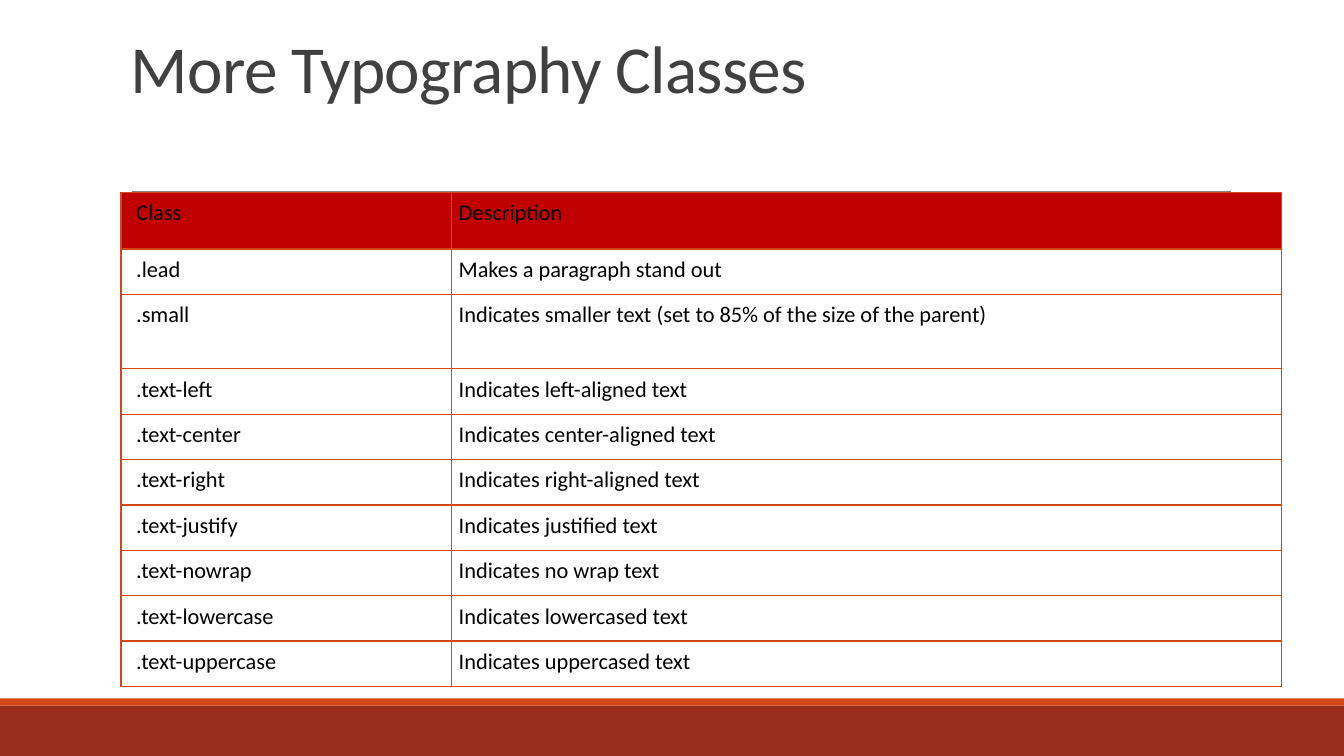
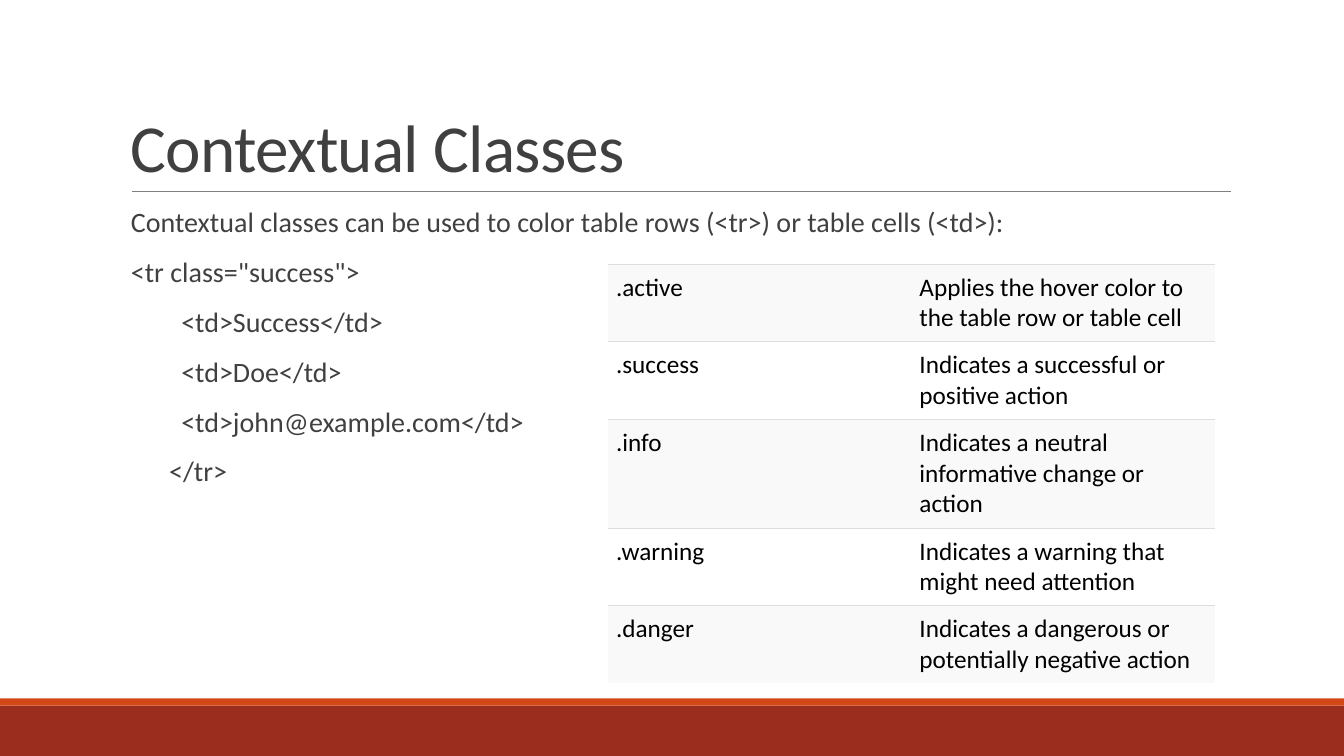
from dataclasses import dataclass

from lxml.etree import SubElement
from pptx import Presentation
from pptx.dml.color import RGBColor
from pptx.enum.shapes import MSO_CONNECTOR, MSO_SHAPE
from pptx.enum.text import MSO_ANCHOR
from pptx.oxml.ns import qn
from pptx.util import Inches, Pt


@dataclass(frozen=True)
class Theme:
    font: str = "Calibri"
    text: str = "404040"
    table_text: str = "000000"
    band: str = "9B2D1F"
    accent: str = "D34817"
    rule: str = "808080"
    header: str = "C00000"
    stripe: str = "F9F9F9"
    white: str = "FFFFFF"
    grid: str = "DDDDDD"
    title_size: int = 48
    body_size: int = 20
    large_cell_size: int = 18
    small_cell_size: int = 16


THEME = Theme()
SLIDE_W, SLIDE_H = 13.33, 7.5
NO_TABLE_STYLE = "{2D5ABB26-0587-4C30-8999-92F81FD0307C}"

TYPOGRAPHY_ROWS = [
    ("Class", "Description"),
    (".lead", "Makes a paragraph stand out"),
    (".small", "Indicates smaller text (set to 85% of the size of the parent)"),
    (".text-left", "Indicates left-aligned text"),
    (".text-center", "Indicates center-aligned text"),
    (".text-right", "Indicates right-aligned text"),
    (".text-justify", "Indicates justified text"),
    (".text-nowrap", "Indicates no wrap text"),
    (".text-lowercase", "Indicates lowercased text"),
    (".text-uppercase", "Indicates uppercased text"),
]
CONTEXT_ROWS = [
    (".active", "Applies the hover color to the table row or table cell"),
    (".success", "Indicates a successful or positive action"),
    (".info", "Indicates a neutral informative change or action"),
    (".warning", "Indicates a warning that might need attention"),
    (".danger", "Indicates a dangerous or potentially negative action"),
]
# Each line of the body with its indent in inches
CONTEXT_BODY = [
    ("Contextual classes can be used to color table rows (<tr>) or table cells (<td>):", 0),
    ('<tr class="success">', 0),
    ("<td>Success</td>", 0.5),
    ("<td>Doe</td>", 0.5),
    ("<td>john@example.com</td>", 0.5),
    ("</tr>", 0.38),
]


def rgb(color):
    return RGBColor.from_string(color)


def add_run(p, text, size, color):
    r = p.add_run()
    r.text = text
    r.font.name = THEME.font
    r.font.size = Pt(size)
    r.font.color.rgb = rgb(color)
    return r


def set_margins(target, left, top, right, bottom):
    target.margin_left, target.margin_top = Inches(left), Inches(top)
    target.margin_right, target.margin_bottom = Inches(right), Inches(bottom)


def add_band(slide, top, height, color):
    sp = slide.shapes.add_shape(MSO_SHAPE.RECTANGLE, 0, Inches(top),
                                Inches(SLIDE_W), Inches(height))
    sp.shadow.inherit = False
    sp.fill.solid()
    sp.fill.fore_color.rgb = rgb(color)
    sp.line.fill.background()


def add_rule(slide, left, right, y):
    line = slide.shapes.add_connector(MSO_CONNECTOR.STRAIGHT, Inches(left), Inches(y),
                                      Inches(right), Inches(y))
    line.line.color.rgb = rgb(THEME.rule)
    line.line.width = Pt(0.5)
    SubElement(line._element.spPr, qn("a:effectLst"))


def add_text_frame(slide, left, top, width, height):
    tf = slide.shapes.add_textbox(Inches(left), Inches(top),
                                  Inches(width), Inches(height)).text_frame
    tf.word_wrap = True
    return tf


def add_title(slide, text, lift):
    """Set the title on the bottom of its box, raised by lift inches."""
    tf = add_text_frame(slide, 1.2, 0.31, 11, 1.59)
    set_margins(tf, 0.1, 0.05, 0.1, 0.05 + lift)
    tf.vertical_anchor = MSO_ANCHOR.BOTTOM
    p = tf.paragraphs[0]
    p.line_spacing = 0.85
    r = add_run(p, text, THEME.title_size, THEME.text)
    r.font._element.set("spc", "-50")


def add_body(slide, lines):
    tf = add_text_frame(slide, 1.2, 2.02, 11, 4.4)
    set_margins(tf, 0.1, 0.05, 0, 0.05)
    for i, (text, indent) in enumerate(lines):
        p = tf.add_paragraph() if i else tf.paragraphs[0]
        p.line_spacing = 0.9
        p.space_before, p.space_after = Pt(12), Pt(2)
        p._p.get_or_add_pPr().set("marL", str(Inches(indent)))
        add_run(p, text, THEME.body_size, THEME.text)


def set_borders(cell, sides, color, width):
    """Draw the sides named by letters from LRTB, and clear the others."""
    tc_pr = cell._tc.get_or_add_tcPr()
    for side in "LRTB":
        ln = SubElement(tc_pr, qn(f"a:ln{side}"), w=str(Pt(width)))
        if side in sides:
            fill = SubElement(ln, qn("a:solidFill"))
            SubElement(fill, qn("a:srgbClr"), val=color)
        else:
            SubElement(ln, qn("a:noFill"))


def add_table(slide, left, top, col_widths, row_heights, rows, size, style_cell):
    """Fill a plain table; style_cell(cell, row, col) sets margins, borders and fill."""
    frame = slide.shapes.add_table(len(rows), len(col_widths), Inches(left), Inches(top),
                                   Inches(sum(col_widths)), Inches(sum(row_heights)))
    table = frame.table
    table.first_row = table.horz_banding = False
    table._tbl.tblPr.find(qn("a:tableStyleId")).text = NO_TABLE_STYLE
    for column, width in zip(table.columns, col_widths):
        column.width = Inches(width)
    for row, height in zip(table.rows, row_heights):
        row.height = Inches(height)
    for i, texts in enumerate(rows):
        for j, text in enumerate(texts):
            cell = table.cell(i, j)
            add_run(cell.text_frame.paragraphs[0], text, size, THEME.table_text)
            style_cell(cell, i, j)


def fill_cell(cell, color):
    cell.fill.solid()
    cell.fill.fore_color.rgb = rgb(color)


def style_typography_cell(cell, row, col):
    set_margins(cell, 0.07 if col else 0.15, 0.07, 0.07, 0.07)
    set_borders(cell, "LRTB", THEME.accent, 1)
    if row == 0:
        fill_cell(cell, THEME.header)
    else:
        cell.fill.background()


def style_context_cell(cell, row, col):
    set_margins(cell, 0.08, 0.08, 0.08, 0.08)
    is_last = row == len(CONTEXT_ROWS) - 1
    set_borders(cell, "T" if is_last else "TB", THEME.grid, 0.75)
    fill_cell(cell, THEME.white if row % 2 else THEME.stripe)


def add_slide(prs, title, title_lift=0):
    slide = prs.slides.add_slide(prs.slide_layouts[6])
    add_band(slide, 7, 0.5, THEME.band)
    add_band(slide, 6.93, 0.07, THEME.accent)
    add_rule(slide, 1.31, 12.21, 1.9)
    add_title(slide, title, title_lift)
    return slide


def build_typography(prs):
    slide = add_slide(prs, "More Typography Classes", title_lift=0.79)
    heights = [0.56, 0.45, 0.74] + [0.45] * 7
    add_table(slide, 1.2, 1.91, [3.28, 8.23], heights, TYPOGRAPHY_ROWS,
              THEME.small_cell_size, style_typography_cell)


def build_contextual(prs):
    slide = add_slide(prs, "Contextual Classes")
    add_body(slide, CONTEXT_BODY)
    heights = [0.77, 0.77, 1.08, 0.77, 0.77]
    add_table(slide, 6.03, 2.62, [3.01, 3.01], heights, CONTEXT_ROWS,
              THEME.large_cell_size, style_context_cell)


def main():
    prs = Presentation()
    prs.slide_width, prs.slide_height = Inches(SLIDE_W), Inches(SLIDE_H)
    build_typography(prs)
    build_contextual(prs)
    prs.save("out.pptx")


if __name__ == "__main__":
    main()
